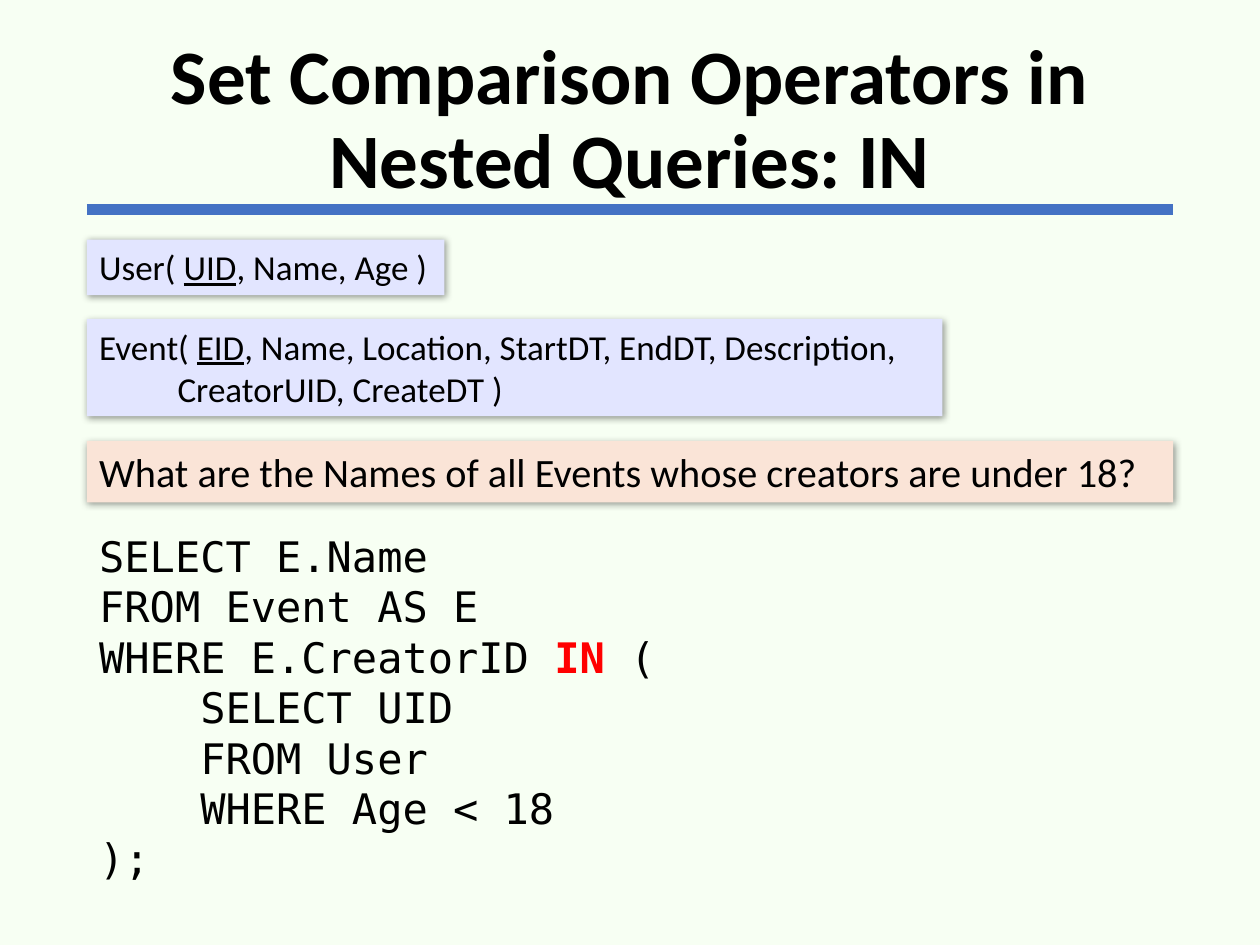
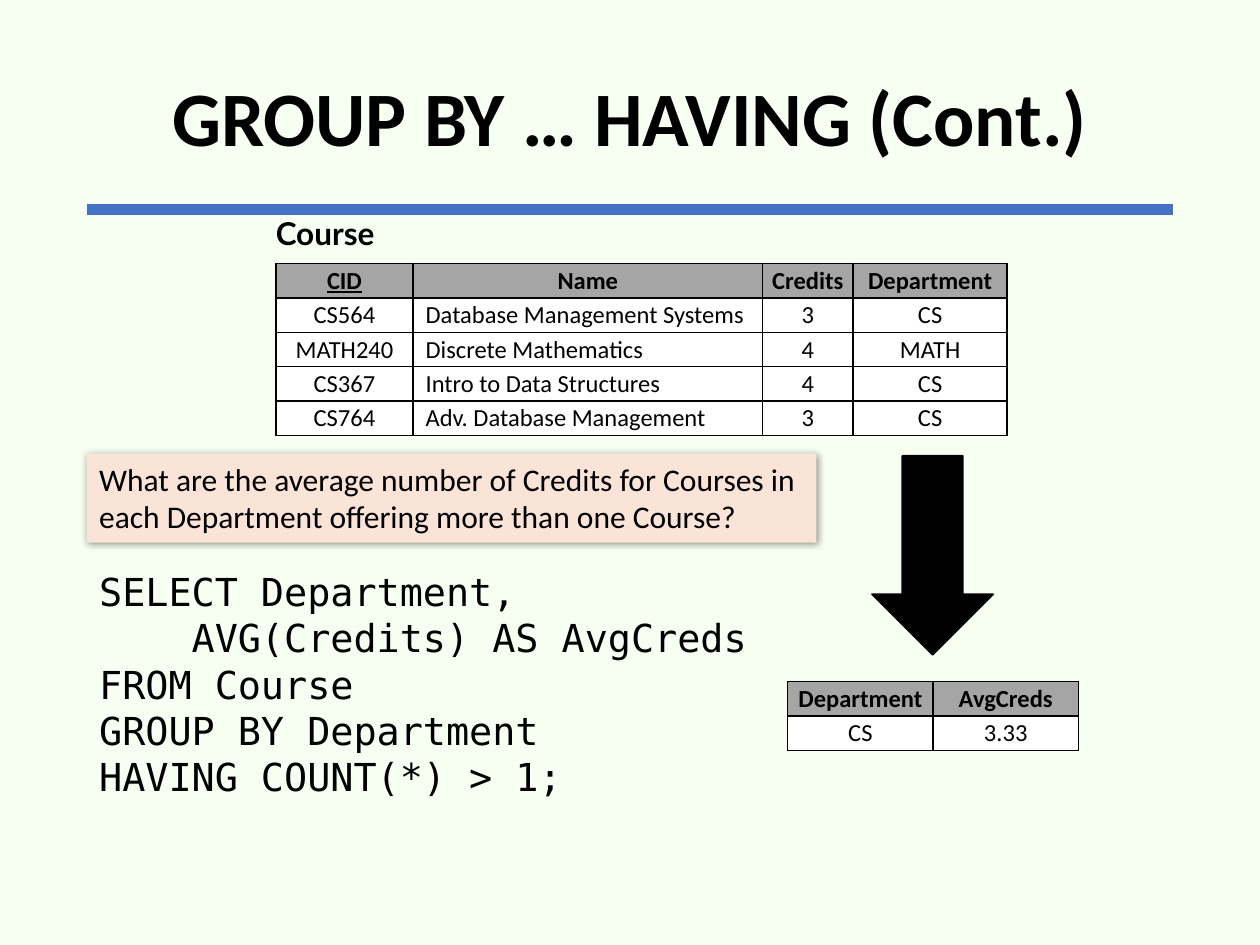
import lxml.etree
import pptx
import pptx.dml.color
import pptx.enum.shapes
import pptx.enum.text
import pptx.oxml.ns
import pptx.util

Cm = pptx.util.Cm
Pt = pptx.util.Pt
ALIGN = pptx.enum.text.PP_ALIGN
ANCHOR = pptx.enum.text.MSO_ANCHOR
SHAPE = pptx.enum.shapes.MSO_SHAPE
qn = pptx.oxml.ns.qn

BACKGROUND = "F7FFF3"
RULE_BLUE = "4472C4"
SCHEMA_FILL = "E2E5FF"
QUESTION_FILL = "FAE4D7"
HEADER_FILL = "A5A5A5"
BLACK = "000000"
WHITE = "FFFFFF"
RED = "FF0000"

BODY_FONT = "Calibri"
CODE_FONT = "DejaVu Sans Mono"
LEFT = 1.75
WIDTH = 21.9
ROW_HEIGHT = 0.69


def color(hex_code):
    return pptx.dml.color.RGBColor.from_string(hex_code)


def add_color(parent, hex_code, alpha=None):
    """Append an a:srgbClr element, with an optional opacity in percent."""
    srgb = lxml.etree.SubElement(parent, qn("a:srgbClr"), val=hex_code)
    if alpha is not None:
        lxml.etree.SubElement(srgb, qn("a:alpha"), val=str(alpha * 1000))


class SlideBuilder:
    def __init__(self):
        self.deck = pptx.Presentation()
        self.deck.slide_width = Cm(25.4)
        self.deck.slide_height = Cm(19.05)
        self.slide = None

    def new_slide(self, title):
        self.slide = self.deck.slides.add_slide(self.deck.slide_layouts[6])
        fill = self.slide.background.fill
        fill.solid()
        fill.fore_color.rgb = color(BACKGROUND)
        self.rule(4.22)
        self.text_box(LEFT, 0.61, WIDTH, 3.68, [title], size=44, bold=True,
                      align=ALIGN.CENTER, anchor=ANCHOR.MIDDLE, spacing=0.9)

    def rule(self, top):
        rule = self.slide.shapes.add_connector(
            pptx.enum.shapes.MSO_CONNECTOR.STRAIGHT,
            Cm(LEFT), Cm(top), Cm(LEFT + WIDTH), Cm(top))
        rule.line.color.rgb = color(RULE_BLUE)
        rule.line.width = Pt(6)
        lxml.etree.SubElement(rule._element.spPr, qn("a:effectLst"))

    def add_lines(self, frame, lines, size, font=BODY_FONT, bold=False,
                  align=ALIGN.LEFT, spacing=None, hanging=0):
        """Fill a frame; a line is a string or a list of (text, style) runs.

        hanging indents every line after the first, in centimetres.
        """
        for index, line in enumerate(lines):
            paragraph = frame.add_paragraph() if index else frame.paragraphs[0]
            paragraph.alignment = align
            if spacing:
                paragraph.line_spacing = spacing
            if index and hanging:
                paragraph._p.get_or_add_pPr().set("marL", str(Cm(hanging)))
            runs = [(line, {})] if isinstance(line, str) else line
            for text, style in runs:
                run = paragraph.add_run()
                run.text = text
                run.font.name = font
                run.font.size = Pt(size)
                run.font.bold = style.get("bold", bold)
                run.font.underline = style.get("underline", False)
                run.font.color.rgb = color(style.get("color", BLACK))

    def text_box(self, left, top, width, height, lines, anchor=ANCHOR.TOP,
                 wrap=True, **style):
        box = self.slide.shapes.add_textbox(Cm(left), Cm(top), Cm(width), Cm(height))
        box.text_frame.word_wrap = wrap
        box.text_frame.vertical_anchor = anchor
        self.add_lines(box.text_frame, lines, **style)

    def code(self, top, width, height, lines, size):
        self.text_box(LEFT, top, width, height, lines, size=size, font=CODE_FONT)

    def shape(self, kind, left, top, width, height, fill):
        shape = self.slide.shapes.add_shape(
            kind, Cm(left), Cm(top), Cm(width), Cm(height))
        shape.shadow.inherit = False
        shape.fill.solid()
        shape.fill.fore_color.rgb = color(fill)
        shape.line.fill.background()
        return shape

    def card(self, top, width, height, fill, lines, **style):
        """Add a filled text panel with a soft shadow at the left margin."""
        card = self.shape(SHAPE.RECTANGLE, LEFT, top, width, height, fill)
        effects = card._element.spPr.find(qn("a:effectLst"))
        shadow = lxml.etree.SubElement(
            effects, qn("a:outerShdw"), blurRad=str(Pt(4)), dist=str(Pt(1)),
            dir=str(45 * 60000), algn="tl", rotWithShape="0")
        add_color(shadow, BLACK, 40)
        card.text_frame.word_wrap = True
        card.text_frame.vertical_anchor = ANCHOR.TOP
        self.add_lines(card.text_frame, lines, **style)

    def down_arrow(self, left, top, width, height):
        arrow = self.shape(SHAPE.DOWN_ARROW, left, top, width, height, BLACK)
        arrow.line.color.rgb = color(BLACK)
        arrow.line.width = Pt(1)

    def table(self, left, top, widths, rows, key=None, left_aligned=None):
        """Add a bordered table; key is the underlined header."""
        table = self.slide.shapes.add_table(
            len(rows), len(widths), Cm(left), Cm(top),
            Cm(sum(widths)), Cm(ROW_HEIGHT * len(rows))).table
        for column, width in zip(table.columns, widths):
            column.width = Cm(width)
        for r, row in enumerate(rows):
            table.rows[r].height = Cm(ROW_HEIGHT)
            for c, text in enumerate(row):
                is_header = r == 0
                is_left = not is_header and c == left_aligned
                cell = table.cell(r, c)
                cell.margin_left = Cm(0.25 if is_left else 0.05)
                cell.margin_right = cell.margin_top = cell.margin_bottom = Cm(0.05)
                cell.fill.solid()
                cell.fill.fore_color.rgb = color(HEADER_FILL if is_header else WHITE)
                self.borders(cell)
                style = {"underline": is_header and text == key}
                self.add_lines(cell.text_frame, [[(text, style)]], size=14,
                               bold=is_header,
                               align=ALIGN.LEFT if is_left else ALIGN.CENTER)

    def borders(self, cell):
        properties = cell._tc.get_or_add_tcPr()
        for index, side in enumerate(("a:lnL", "a:lnR", "a:lnT", "a:lnB")):
            line = lxml.etree.Element(qn(side), w=str(Pt(1)))
            add_color(lxml.etree.SubElement(line, qn("a:solidFill")), BLACK)
            properties.insert(index, line)


def build_in_operator(builder):
    key = {"underline": True}
    builder.new_slide("Set Comparison Operators in Nested Queries: IN")
    builder.card(4.83, 7.21, 1.12, SCHEMA_FILL,
                 [[("User( ", {}), ("UID", key), (", Name, Age )", {})]], size=20)
    builder.card(6.43, 17.25, 1.96, SCHEMA_FILL, [
        [("Event( ", {}), ("EID", key),
         (", Name, Location, StartDT, EndDT, Description,", {})],
        "CreatorUID, CreateDT )",
    ], size=20, hanging=1.58)
    builder.card(8.89, WIDTH, 1.24, QUESTION_FILL,
                 ["What are the Names of all Events whose creators are under 18?"],
                 size=23)
    builder.code(10.57, 20.8, 7.44, [
        "SELECT E.Name",
        "FROM Event AS E",
        [("WHERE E.CreatorID ", {}), ("IN", {"color": RED, "bold": True}), (" (", {})],
        "    SELECT UID",
        "    FROM User",
        "    WHERE Age < 18",
        ");",
    ], size=24)


def build_group_by_having(builder):
    builder.new_slide("GROUP BY … HAVING (Cont.)")
    builder.code(11.33, 15.24, 5.44, [
        "SELECT Department,",
        "    AVG(Credits) AS AvgCreds",
        "FROM Course",
        "GROUP BY Department",
        "HAVING COUNT(*) > 1;",
    ], size=22)
    builder.down_arrow(17.58, 9.19, 2.44, 4.01)
    builder.text_box(5.31, 4.19, 2.57, 1.02, ["Course"], wrap=False,
                     size=18, font="Lato", bold=True)
    builder.card(9.14, 14.71, 1.8, QUESTION_FILL, [
        "What are the average number of Credits for Courses in each Department "
        "offering more than one Course?"], size=18)
    builder.table(15.88, 13.74, [2.93, 2.93],
                  [["Department", "AvgCreds"], ["CS", "3.33"]])
    builder.table(5.56, 5.31, [2.77, 7.04, 1.83, 3.1], [
        ["CID", "Name", "Credits", "Department"],
        ["CS564", "Database Management Systems", "3", "CS"],
        ["MATH240", "Discrete Mathematics", "4", "MATH"],
        ["CS367", "Intro to Data Structures", "4", "CS"],
        ["CS764", "Adv. Database Management", "3", "CS"],
    ], key="CID", left_aligned=1)


def main():
    builder = SlideBuilder()
    build_in_operator(builder)
    build_group_by_having(builder)
    builder.deck.save("out.pptx")


if __name__ == "__main__":
    main()
